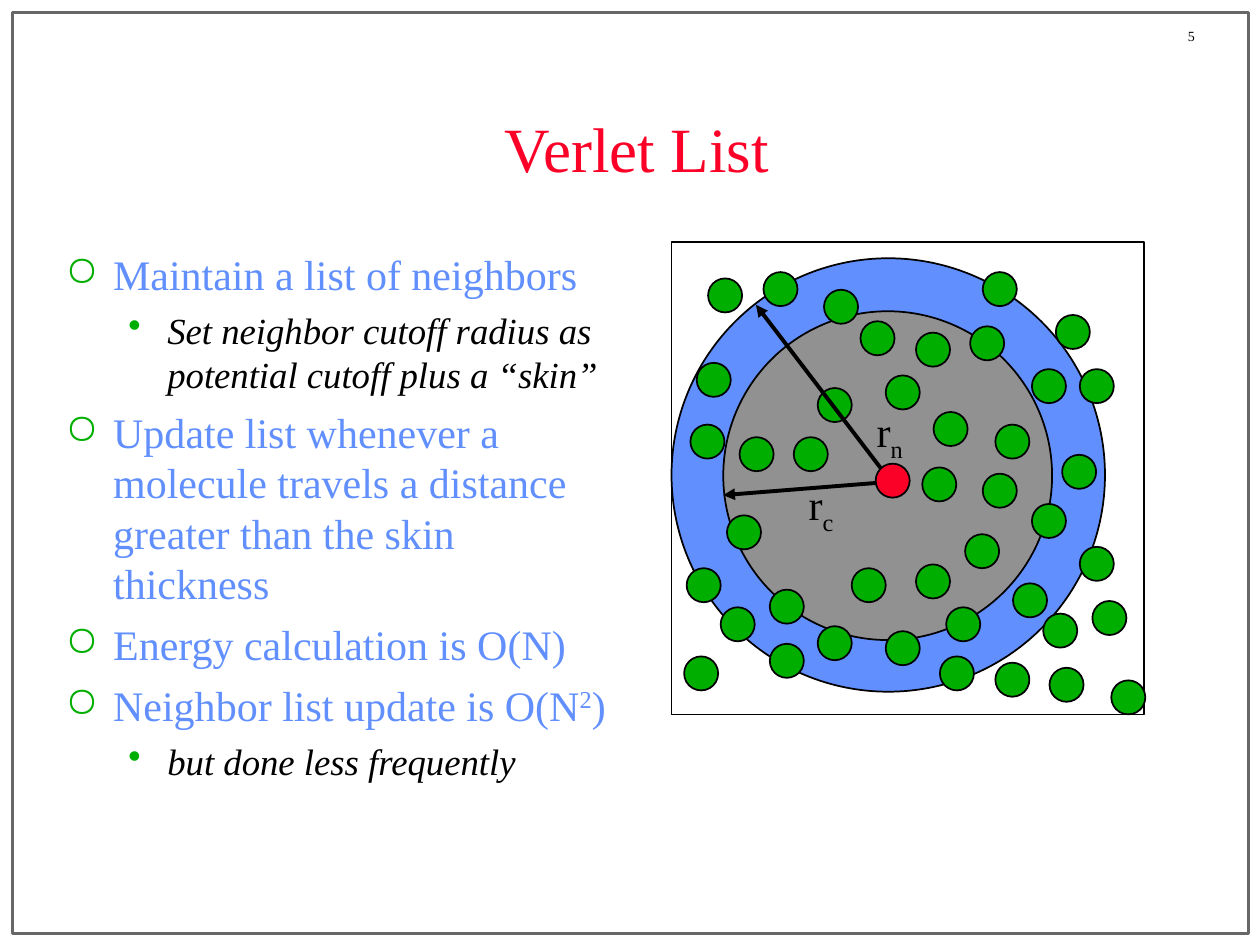
from lxml import etree
from pptx import Presentation
from pptx.dml.color import RGBColor
from pptx.enum.shapes import MSO_CONNECTOR, MSO_SHAPE
from pptx.enum.text import MSO_ANCHOR, PP_ALIGN
from pptx.oxml.ns import qn
from pptx.util import Inches, Pt

RECT, OVAL = MSO_SHAPE.RECTANGLE, MSO_SHAPE.OVAL
LINE = MSO_CONNECTOR.STRAIGHT
LEFT, CENTER = PP_ALIGN.LEFT, PP_ALIGN.CENTER
TOP, MIDDLE = MSO_ANCHOR.TOP, MSO_ANCHOR.MIDDLE

FONT = "Times New Roman"
BLACK, BLUE, GREEN = "000000", "618FFD", "00AE00"
RED, GRAY, FRAME = "FC0128", "919191", "676767"
DOT = 0.27

# Left and top of each neighbor molecule
DOTS = [
    (5.62, 2.21), (6.06, 2.16), (5.53, 2.88), (6.54, 2.3), (6.3, 3.47),
    (7.27, 2.64), (6.76, 4.51), (7.66, 4.24), (8.19, 2.93), (8.43, 3.61),
    (8.57, 4.34), (7.51, 4.82), (8.33, 5.3), (7.03, 5.01), (7.32, 3.71),
    (5.87, 3.47), (6.49, 4.97), (8.04, 4.63), (8.19, 4), (8.57, 2.93),
    (7.9, 3.37), (8.38, 2.5), (7.8, 3.76), (7.27, 4.48), (6.11, 4.68),
    (6.11, 5.11), (7.46, 5.21), (5.77, 4.09), (7.41, 3.27), (7.8, 2.16),
    (5.43, 5.21), (5.48, 3.37), (6.49, 3.08), (6.83, 2.55), (7.03, 2.98),
    (8.28, 4.87), (7.7, 2.59), (7.9, 5.26), (8.82, 5.4), (5.72, 4.82),
    (8.67, 4.77), (5.45, 4.51),
]

# Level and runs of each point; a run is text and its baseline shift in percent
POINTS = [
    (0, [("Maintain a list of neighbors", 0)]),
    (1, [("Set neighbor cutoff radius as potential cutoff plus a “skin”", 0)]),
    (0, [("Update list whenever a molecule travels a distance "
          "greater than the skin thickness", 0)]),
    (0, [("Energy calculation is O(N)", 0)]),
    (0, [("Neighbor list update is O(N", 0), ("2", 30), (")", 0)]),
    (1, [("but done less frequently", 0)]),
]

# Format of each level: bullet, margin, indent, space before, size, colour, italic
LEVELS = [
    ("○", 0.38, -0.38, 6, 24, BLUE, False),
    ("•", 0.81, -0.31, 5.2, 21, BLACK, True),
]


def color(code):
    return RGBColor.from_string(code)


def add_runs(para, runs, size, tint, italic=False):
    for text, base in runs:
        run = para.add_run()
        run.text = text
        font = run.font
        font.name, font.size, font.italic = FONT, Pt(size), italic
        font.color.rgb = color(tint)
        if base:
            font._element.set("baseline", str(base * 1000))


def add_box(slide, x, y, w, h, wrap=True, anchor=TOP):
    frame = slide.shapes.add_textbox(
        Inches(x), Inches(y), Inches(w), Inches(h)).text_frame
    frame.word_wrap = wrap
    frame.vertical_anchor = anchor
    return frame


def add_text(slide, runs, x, y, w, h, size=24, tint=BLACK, align=LEFT,
             anchor=TOP, wrap=True):
    para = add_box(slide, x, y, w, h, wrap, anchor).paragraphs[0]
    para.alignment = align
    add_runs(para, runs, size, tint)


def add_bullet(para, mark, margin, indent):
    props = para._p.get_or_add_pPr()
    props.set("marL", str(Inches(margin)))
    props.set("indent", str(Inches(indent)))
    tint = etree.SubElement(props, qn("a:buClr"))
    etree.SubElement(tint, qn("a:srgbClr"), val=GREEN)
    etree.SubElement(props, qn("a:buChar"), char=mark)


def add_points(slide, x, y, w, h):
    frame = add_box(slide, x, y, w, h)
    for i, (level, runs) in enumerate(POINTS):
        mark, margin, indent, space, size, tint, italic = LEVELS[level]
        para = frame.add_paragraph() if i else frame.paragraphs[0]
        add_bullet(para, mark, margin, indent)
        para.level = level
        if i:
            para.space_before = Pt(space)
        add_runs(para, runs, size, tint, italic)


def add_form(slide, kind, x, y, w, h, fill=None, line=BLACK, width=1):
    form = slide.shapes.add_shape(
        kind, Inches(x), Inches(y), Inches(w), Inches(h))
    form.shadow.inherit = False
    if fill:
        form.fill.solid()
        form.fill.fore_color.rgb = color(fill)
    else:
        form.fill.background()
    form.line.color.rgb = color(line)
    form.line.width = Pt(width)


def add_arrow(slide, x1, y1, x2, y2):
    arrow = slide.shapes.add_connector(
        LINE, Inches(x1), Inches(y1), Inches(x2), Inches(y2))
    arrow.line.color.rgb = color(BLACK)
    arrow.line.width = Pt(2.25)
    etree.SubElement(arrow.line._get_or_add_ln(), qn("a:tailEnd"),
                     type="triangle")
    etree.SubElement(arrow._element.spPr, qn("a:effectLst"))


def main():
    deck = Presentation()
    deck.slide_width, deck.slide_height = Inches(10), Inches(7.5)
    slide = deck.slides.add_slide(deck.slide_layouts[6])

    # Frame and page number
    add_form(slide, RECT, 0.1, 0.1, 9.81, 7.31, line=FRAME, width=2)
    add_text(slide, [("5", 0)], 9.33, 0.17, 0.67, 0.23, size=8, wrap=False)

    # Title and points
    add_text(slide, [("Verlet List", 0)], 0.75, 0.67, 8.61, 0.99, size=36,
             tint=RED, align=CENTER, anchor=MIDDLE)
    add_points(slide, 0.42, 1.92, 4.5, 4.5)

    # Skin, cutoff sphere and cell
    add_form(slide, OVAL, 5.33, 2.05, 3.44, 3.44, BLUE)
    add_form(slide, OVAL, 5.74, 2.47, 2.61, 2.61, GRAY)
    add_form(slide, RECT, 5.33, 1.92, 3.75, 3.75)

    # Neighbor molecules
    for x, y in DOTS:
        add_form(slide, OVAL, x, y, DOT, DOT, GREEN)

    # Radii with labels, then the central molecule
    add_arrow(slide, 7.12, 3.82, 5.74, 3.93)
    add_text(slide, [("r", 0), ("c", -25)], 6.32, 3.75, 0.73, 0.56)
    add_arrow(slide, 7.07, 3.82, 6, 2.42)
    add_text(slide, [("r", 0), ("n", -25)], 6.86, 3.17, 0.73, 0.56)
    add_form(slide, OVAL, 6.95, 3.68, DOT, DOT, RED)

    deck.save("out.pptx")


if __name__ == "__main__":
    main()
